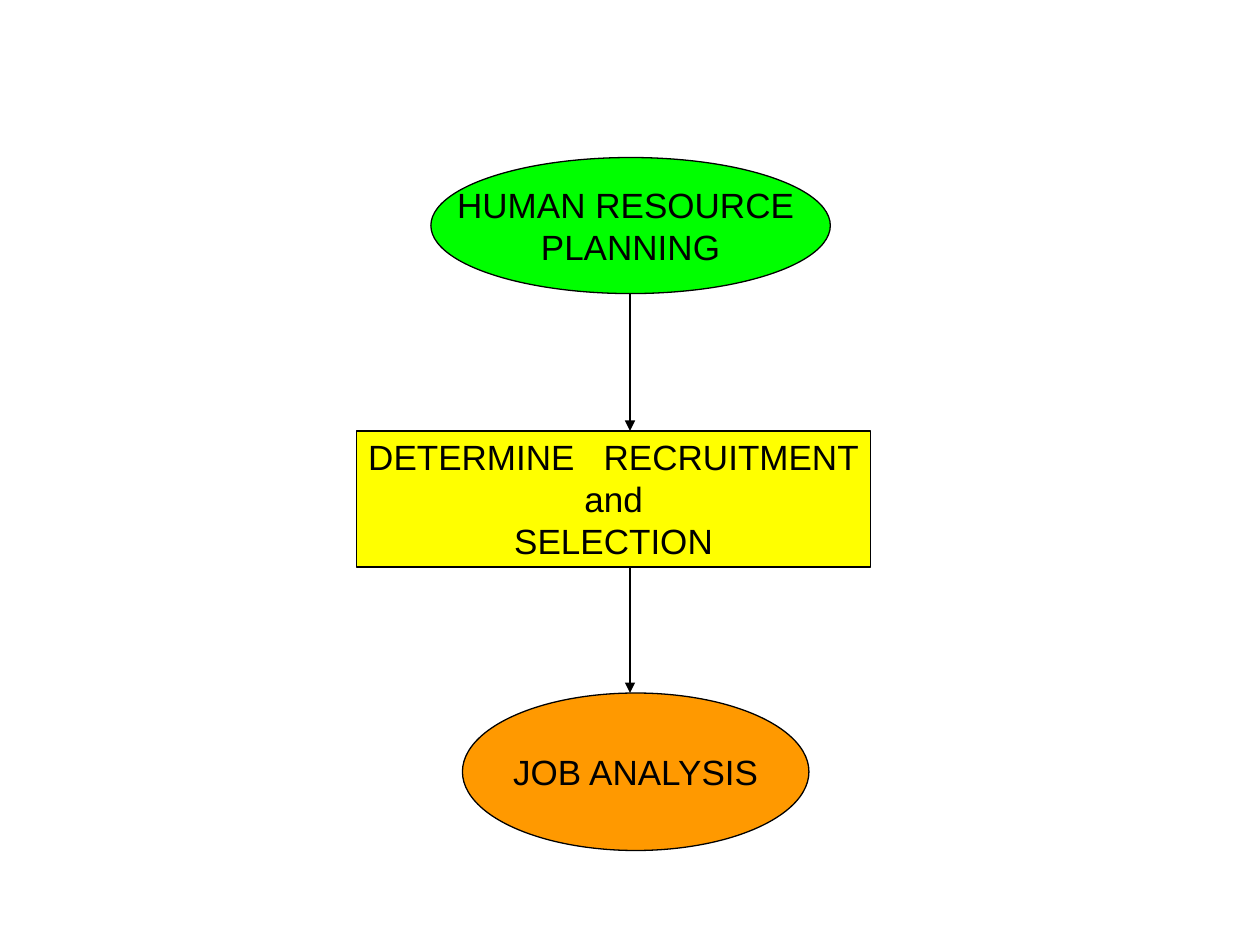
from pptx import Presentation
from pptx.dml.color import RGBColor
from pptx.enum.shapes import MSO_CONNECTOR, MSO_SHAPE
from pptx.enum.text import MSO_ANCHOR, PP_ALIGN
from pptx.oxml.ns import qn
from pptx.util import Inches, Pt
from lxml.etree import SubElement

COLORS = {"ink": "000000", "plan": "00FF00", "recruit": "FFFF00", "job": "FF9900"}


def color(name):
    return RGBColor.from_string(COLORS[name])


class Chart:
    font = "Arial"
    size = Pt(20)
    width = Pt(0.75)

    def __init__(self, slide):
        self.slide = slide

    def outline(self, line):
        line.color.rgb = color("ink")
        line.width = self.width

    def style(self, para):
        para.alignment = PP_ALIGN.CENTER
        for run in para.runs:
            run.font.name = self.font
            run.font.size = self.size
            run.font.color.rgb = color("ink")

    def node(self, kind, area, fill, text):
        shape = self.slide.shapes.add_shape(kind, *map(Inches, area))
        shape.shadow.inherit = False
        shape.fill.solid()
        shape.fill.fore_color.rgb = color(fill)
        self.outline(shape.line)
        frame = shape.text_frame
        frame.word_wrap = False
        frame.vertical_anchor = MSO_ANCHOR.MIDDLE
        frame.text = text
        for para in frame.paragraphs:
            self.style(para)
        return shape

    def spread(self, para, extra):
        """Widen the space between two words by extra points."""
        first, last = para.text.split()
        para.text = first
        space, word = para.add_run(), para.add_run()
        space.text, word.text = " ", last
        self.style(para)
        space.font._element.set("spc", str(extra * 100))

    def arrow(self, x, top, bottom):
        line = self.slide.shapes.add_connector(
            MSO_CONNECTOR.STRAIGHT, *map(Inches, (x, top, x, bottom)))
        self.outline(line.line)
        SubElement(line.line._get_or_add_ln(), qn("a:tailEnd"), type="triangle")
        SubElement(line._element.spPr, qn("a:effectLst"))


def main():
    deck = Presentation()
    deck.slide_width, deck.slide_height = Inches(10), Inches(7.5)
    chart = Chart(deck.slides.add_slide(deck.slide_layouts[6]))

    chart.node(MSO_SHAPE.OVAL, (3.42, 1.25, 3.17, 1.08), "plan",
               "HUMAN RESOURCE \nPLANNING")
    recruit = chart.node(MSO_SHAPE.RECTANGLE, (2.83, 3.42, 4.08, 1.08), "recruit",
                         "DETERMINE RECRUITMENT\nand\nSELECTION")
    chart.spread(recruit.text_frame.paragraphs[0], 11)
    chart.node(MSO_SHAPE.OVAL, (3.67, 5.5, 2.75, 1.25), "job", "JOB ANALYSIS")

    for top, bottom in ((2.33, 3.42), (4.5, 5.5)):
        chart.arrow(5, top, bottom)

    deck.save("out.pptx")


if __name__ == "__main__":
    main()
